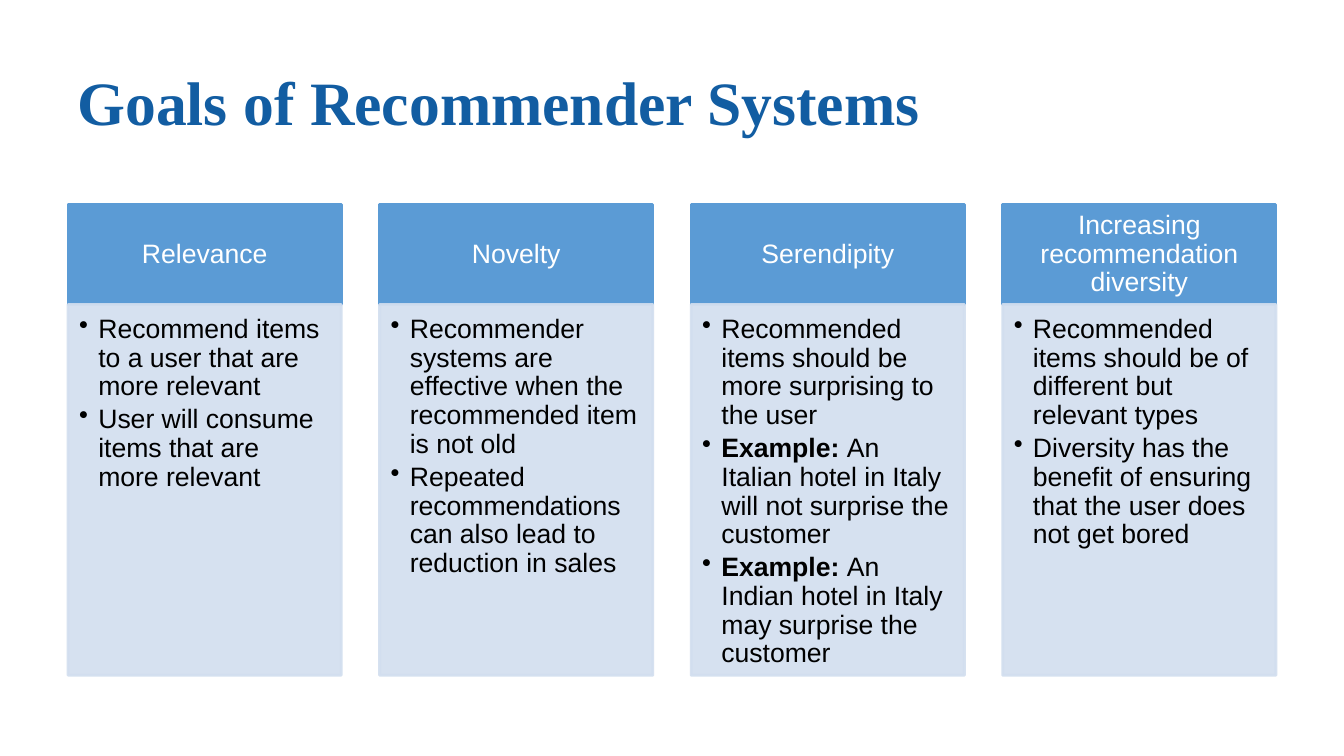
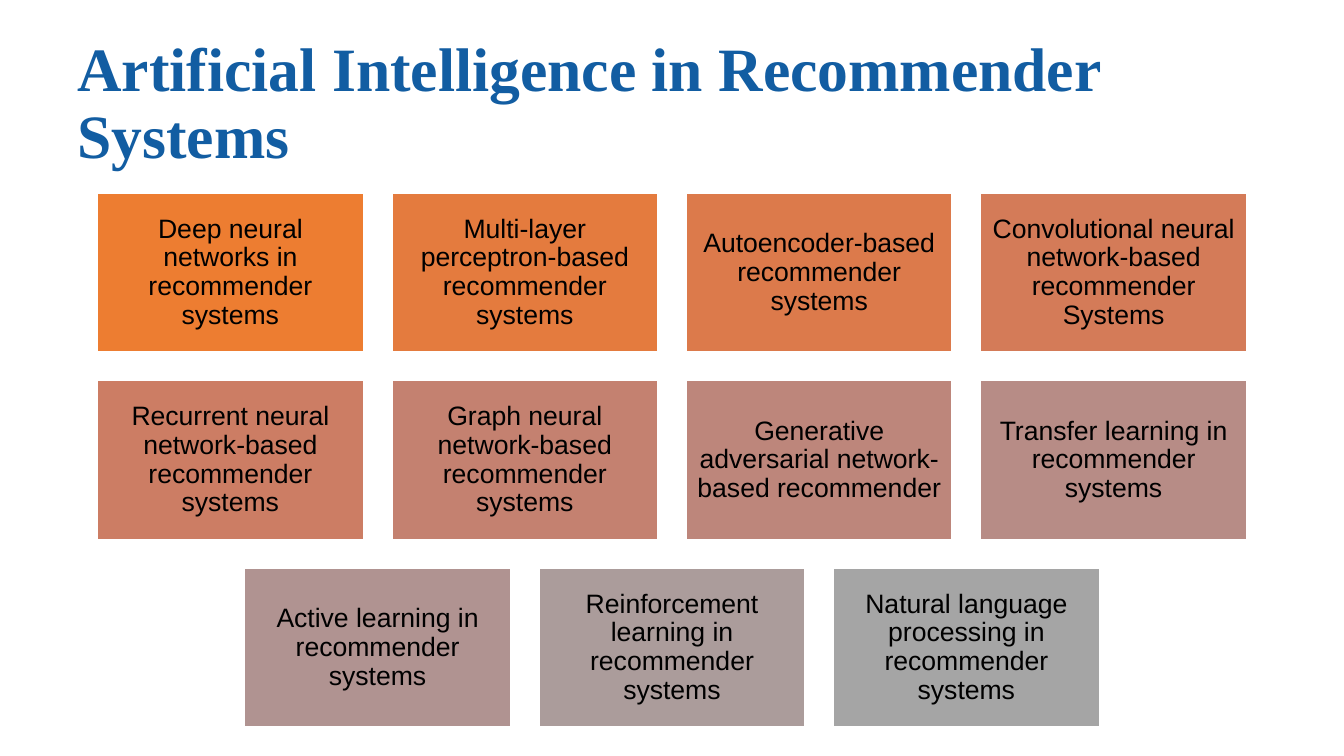
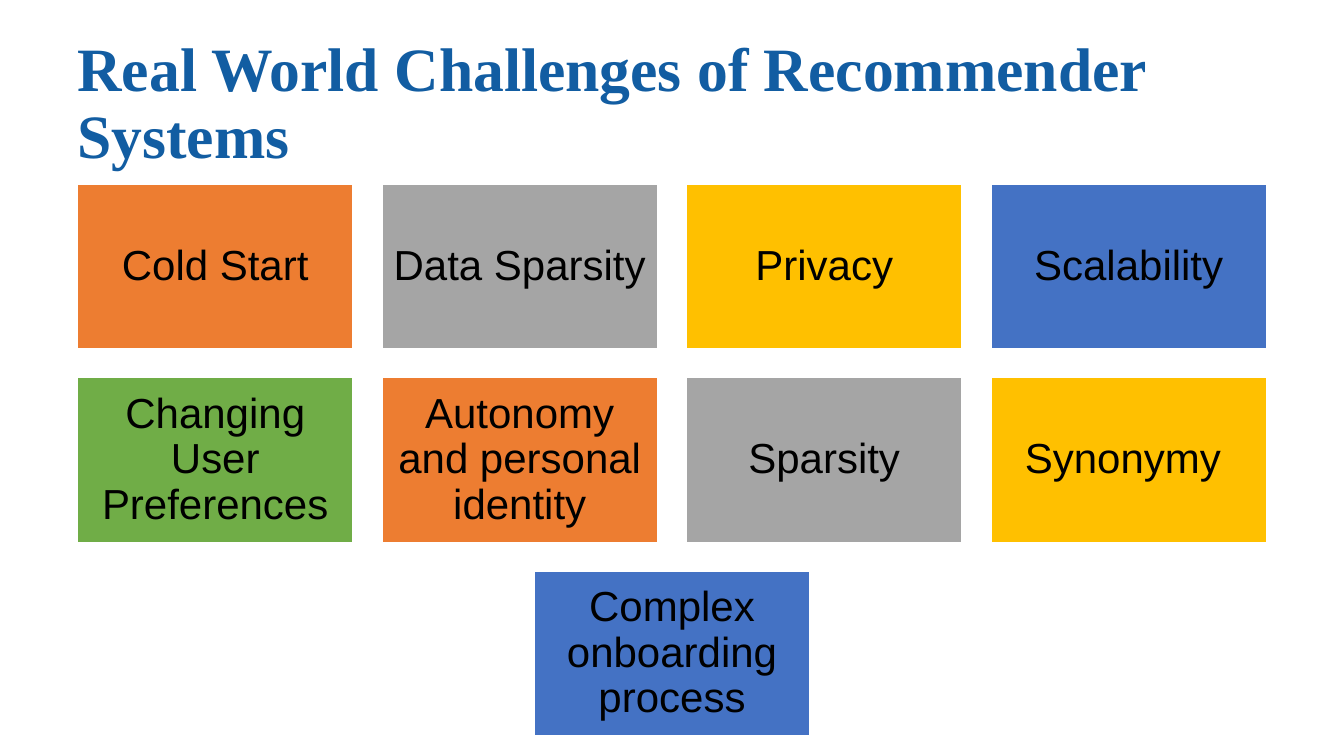
"""Build three slides about recommender systems: goals, methods and challenges."""
from pptx import Presentation
from pptx.dml.color import RGBColor
from pptx.enum.shapes import MSO_SHAPE as Shape
from pptx.enum.text import MSO_ANCHOR as Anchor, PP_ALIGN as Align
from pptx.oxml.ns import qn
from pptx.util import Inches, Pt
from lxml.etree import SubElement

WHITE = RGBColor(0xFF, 0xFF, 0xFF)
BLACK = RGBColor(0, 0, 0)
TITLE_BLUE = RGBColor(0x12, 0x5D, 0xA2)
HEADER_BLUE = RGBColor(0x5B, 0x9B, 0xD5)
PALE_BLUE = RGBColor(0xD2, 0xDE, 0xEF)
ORANGE = RGBColor(0xED, 0x7D, 0x31)
GRAY = RGBColor(0xA5, 0xA5, 0xA5)
GOLD = RGBColor(0xFF, 0xC0, 0x00)
BLUE = RGBColor(0x44, 0x72, 0xC4)
GREEN = RGBColor(0x70, 0xAD, 0x47)
ORANGE_TO_GRAY = [RGBColor.from_string(code) for code in (
    "ED7D31", "E47B3E", "DC7A4B", "D47B58", "CC7D64", "C48170",
    "BD867B", "B78C86", "B09391", "AB9C9B", "A5A5A5")]

PAGE_WIDTH = 13.33
COLUMNS = 4


def write(frame, paragraphs, size=19, font="Arial", color=BLACK, bold=False,
          align=Align.LEFT, anchor=Anchor.MIDDLE, insets=(0.1, 0.05, 0.1, 0.05),
          bullet=None, after=0):
    """Fill a text frame; each paragraph is a (bold lead, text) pair."""
    frame.word_wrap = True
    frame.vertical_anchor = anchor
    (frame.margin_left, frame.margin_top,
     frame.margin_right, frame.margin_bottom) = map(Inches, insets)
    for index, (lead, text) in enumerate(paragraphs):
        para = frame.add_paragraph() if index else frame.paragraphs[0]
        para.alignment = align
        para.line_spacing = 0.9
        para.space_after = Pt(after)
        if bullet:
            properties = para._p.get_or_add_pPr()
            properties.set("marL", str(Inches(0.19)))
            properties.set("indent", str(-Inches(0.19)))
            SubElement(properties, qn("a:buChar")).set("char", bullet)
        for words, heavy in ((lead, True), (text, bold)):
            if words:
                span = para.add_run()
                span.text = words
                span.font.name = font
                span.font.size = Pt(size)
                span.font.bold = heavy
                span.font.color.rgb = color


def centred_row(count, width, gap):
    """Return the left edges of equal boxes centred on the page."""
    start = (PAGE_WIDTH - count * width - (count - 1) * gap) / 2
    return [start + index * (width + gap) for index in range(count)]


class Slides:
    """Hold the deck, its shared style and the current page."""

    def __init__(self):
        """Start an empty wide deck."""
        self.deck = Presentation()
        self.deck.slide_width = Inches(PAGE_WIDTH)
        self.deck.slide_height = Inches(7.5)
        self.page = None

    def start(self, title):
        """Add a page with its title."""
        self.page = self.deck.slides.add_slide(self.deck.slide_layouts[6])
        box = self.page.shapes.add_textbox(
            Inches(0.67), Inches(0.28), Inches(12), Inches(1.53))
        write(box.text_frame, [("", title)], size=44, font="Times New Roman",
              color=TITLE_BLUE, bold=True)

    def panel(self, left, top, width, height, fill, line, opacity=100):
        """Add a filled rectangle and return it."""
        box = self.page.shapes.add_shape(
            Shape.RECTANGLE, *map(Inches, (left, top, width, height)))
        box.shadow.inherit = False
        box.fill.solid()
        box.fill.fore_color.rgb = fill
        box.line.color.rgb = line
        box.line.width = Pt(2)
        if opacity < 100:
            for color in box._element.spPr.iter(qn("a:srgbClr")):
                SubElement(color, qn("a:alpha")).set("val", str(opacity * 1000))
        return box

    def column(self, left, width, heading, points):
        """Add a heading with a bulleted panel below it."""
        header = self.panel(left, 2.03, width, 0.99, HEADER_BLUE, HEADER_BLUE)
        write(header.text_frame, [("", heading)], color=WHITE,
              align=Align.CENTER, insets=(0.15, 0.08, 0.15, 0.08))
        body = self.panel(left, 3.02, width, 3.68, PALE_BLUE, PALE_BLUE, opacity=90)
        write(body.text_frame, points, anchor=Anchor.TOP, bullet="•", after=3,
              insets=(0.11, 0.11, 0.15, 0.17))

    def card_grid(self, cards, top, width, height, size, inset, gap=0.27):
        """Lay out (label, colour) cards in centred rows."""
        for start in range(0, len(cards), COLUMNS):
            row = cards[start:start + COLUMNS]
            row_top = top + start // COLUMNS * (height + gap)
            for left, (label, color) in zip(centred_row(len(row), width, gap), row):
                card = self.panel(left, row_top, width, height, color, WHITE)
                write(card.text_frame, [("", label)], size=size,
                      align=Align.CENTER, insets=(inset,) * 4)


GOALS = [
    ("Relevance", [
        ("", "Recommend items to a user that are more relevant "),
        ("", "User will consume items that are more relevant")]),
    ("Novelty", [
        ("", "Recommender systems are effective when the recommended item is not old"),
        ("", "Repeated recommendations can also lead to reduction in sales")]),
    ("Serendipity", [
        ("", "Recommended items should be more surprising to the user"),
        ("Example: ", "An Italian hotel in Italy will not surprise the customer"),
        ("Example: ", "An Indian hotel in Italy may surprise the customer")]),
    ("Increasing recommendation diversity", [
        ("", "Recommended items should be of different but relevant types"),
        ("", "Diversity has the benefit of ensuring that the user does not get bored")]),
]
METHODS = [
    "Deep neural networks in recommender systems",
    "Multi-layer perceptron-based recommender systems",
    "Autoencoder-based recommender systems",
    "Convolutional neural network-based recommender Systems",
    "Recurrent neural network-based recommender systems",
    "Graph neural network-based recommender systems",
    "Generative adversarial network-based recommender",
    "Transfer learning in recommender systems",
    "Active learning in recommender systems",
    "Reinforcement learning in recommender systems",
    "Natural language processing in recommender systems",
]
CHALLENGES = [
    ("Cold Start", ORANGE), ("Data Sparsity", GRAY),
    ("Privacy", GOLD), ("Scalability", BLUE),
    ("Changing User Preferences", GREEN),
    ("Autonomy and personal identity", ORANGE),
    ("Sparsity", GRAY), ("Synonymy ", GOLD),
    ("Complex onboarding process", BLUE),
]

slides = Slides()

slides.start("Goals of Recommender Systems")
COLUMN_WIDTH = 2.71
for left, (heading, points) in zip(
        centred_row(len(GOALS), COLUMN_WIDTH, 0.38), GOALS):
    slides.column(left, COLUMN_WIDTH, heading, points)

slides.start("Artificial Intelligence in Recommender Systems")
slides.card_grid(list(zip(METHODS, ORANGE_TO_GRAY)), top=1.91, width=2.65,
                 height=1.59, size=19, inset=0.08)

slides.start("Real World Challenges of Recommender Systems")
slides.card_grid(CHALLENGES, top=1.82, width=2.75, height=1.65, size=30, inset=0.12)

slides.deck.save("out.pptx")
